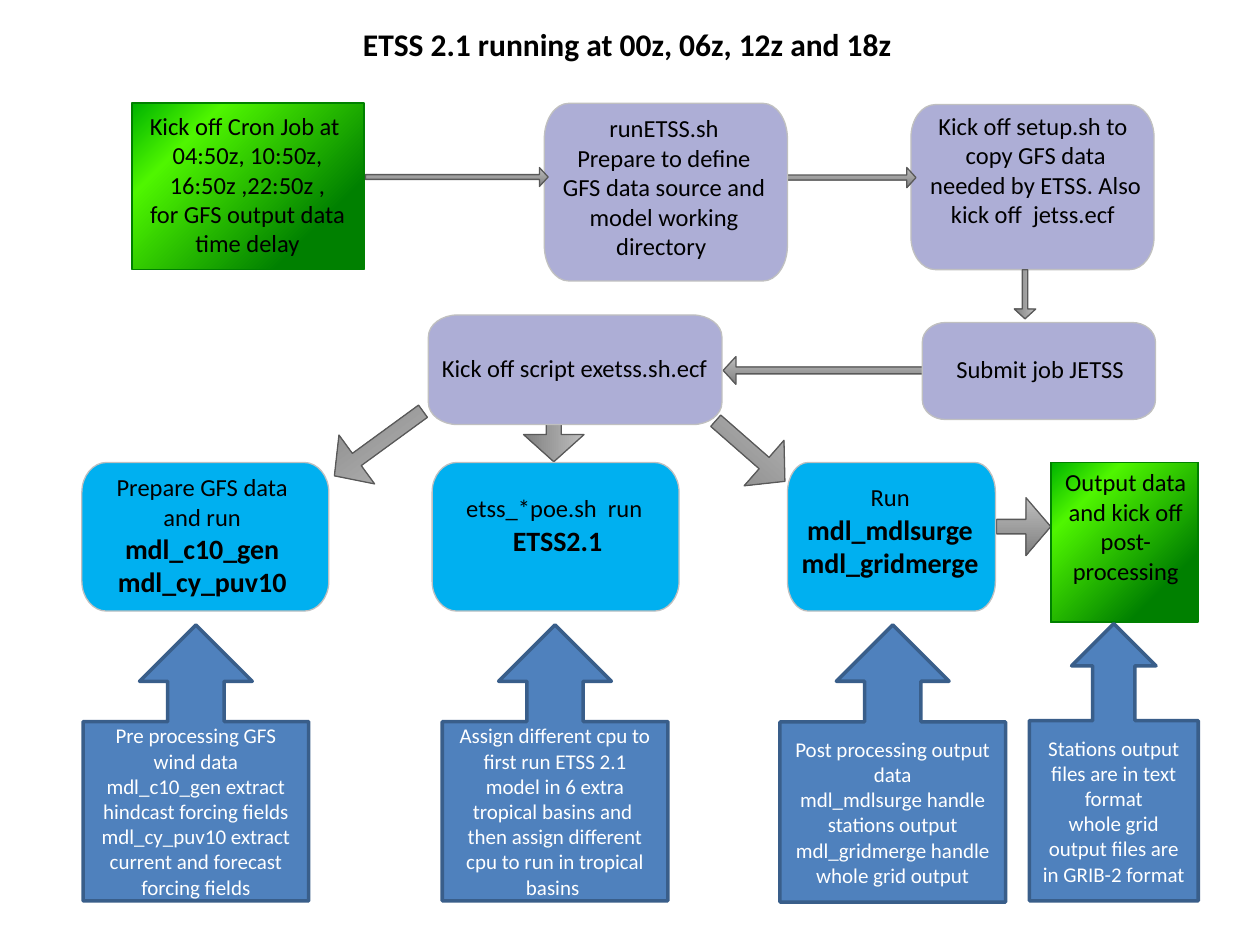
import lxml.etree
import pptx
import pptx.dml.color
import pptx.enum.shapes
import pptx.enum.text
import pptx.oxml.ns
import pptx.util

Inches, Pt = pptx.util.Inches, pptx.util.Pt
SHAPE = pptx.enum.shapes.MSO_SHAPE
ANCHOR = pptx.enum.text.MSO_ANCHOR
qn = pptx.oxml.ns.qn

COLORS = {
    "text": "000000", "note_text": "FFFFFF", "note": "4F81BD", "note_line": "395E8A",
    "script": "ADAED6", "model": "00B0F0", "box_line": "C0C0C0",
    "green": "008000", "arrow_line": "595959",
}
GRAY_STOPS = [(0, "BFBFBF"), (100, "7F7F7F")]
GREEN_STOPS = [(0, "008000"), (22, "008000"), (77, "4FF600"), (100, "00B300")]

# Each paragraph is a list of runs: (text, size, bold)
TITLE = [[("ETSS 2.1 running at 00z, 06z, 12z and 18z", 18, True)]]

# outline kind, box, text box, paragraphs
SETUP_STEP = [
    ("script", (7.23, 0.83, 1.93, 1.31), (7.28, 0.83, 1.88, 1.28),
     [[("Kick off setup.sh to  copy GFS data needed by ETSS. Also kick off  jetss.ecf ", 14, False)]]),
]
STEPS = [
    ("script", (3.4, 2.5, 2.33, 0.87), (3.4, 2.75, 2.32, 0.34),
     [[("Kick off script exetss.sh.ecf", 14, False)]]),
    ("script", (4.32, 0.82, 1.93, 1.41), (4.33, 0.85, 1.88, 1.31),
     [[("runETSS.sh", 14, False)],
      [("Prepare to define GFS data source and model working directory ", 14, False)]]),
    ("green", (1.05, 0.82, 1.84, 1.32), (1.06, 0.83, 1.81, 1.28),
     [[("Kick off Cron Job at ", 14, False)],
      [("04:50z, 10:50z, 16:50z ,22:50z ,", 14, False)],
      [("for GFS output data time delay", 14, False)]]),
    ("script", (7.32, 2.56, 1.85, 0.77), (7.33, 2.76, 1.85, 0.34),
     [[("Submit job JETSS", 14, False)]]),
    ("model", (0.65, 3.67, 1.96, 1.18), (0.67, 3.7, 1.87, 1.11),
     [[("Prepare GFS data and run ", 14, False), ("mdl_c10_gen mdl_cy_puv10", 16, True)]]),
    ("model", (3.43, 3.67, 1.96, 1.18), (3.4, 3.84, 2.05, 0.64),
     [[("etss_*poe.sh  run", 14, False), (" ", 16, True)], [("ETSS2.1", 16, True)]]),
    ("model", (6.25, 3.67, 1.65, 1.18), (6.2, 3.75, 1.73, 0.91),
     [[("Run", 14, False), (" ", 16, False), ("mdl_mdlsurge", 16, True)],
      [("mdl_gridmerge", 16, True)]]),
    ("green", (8.34, 3.67, 1.17, 1.27), (8.35, 3.66, 1.17, 1.28),
     [[("Output data and kick off post-processing", 14, False)]]),
]

# box before rotation, rotation, flipped
BACK_ARROWS = [
    ((4.16, 3.19, 0.47, 0.48), 90, False),
    ((7.91, 3.95, 0.43, 0.46), 0, False),
    ((5.74, 2.83, 1.6, 0.22), 0, True),
]
SETUP_ARROWS = [
    ((5.74, 1.33, 1.53, 0.16), 0, False),
    ((7.94, 2.25, 0.39, 0.17), 90, False),
]
FRONT_ARROWS = [
    ((2.9, 1.33, 1.45, 0.15), 0, False),
    ((5.59, 3.34, 0.73, 0.48), 41.2, False),
    ((2.57, 3.28, 0.87, 0.48), 143.9, False),
]

NOTES = [
    ((0.66, 4.96, 1.79, 2.19),
     ["Pre processing GFS wind data", "mdl_c10_gen extract hindcast forcing fields",
      "mdl_cy_puv10 extract current and forecast forcing fields"]),
    ((3.51, 4.96, 1.79, 2.19),
     ["Assign different cpu to first run ETSS 2.1 model in 6 extra tropical basins and  "
      "then assign different cpu to run in tropical basins "]),
    ((6.19, 4.96, 1.79, 2.2),
     ["Post processing output data", "mdl_mdlsurge handle stations output",
      "mdl_gridmerge handle whole grid output"]),
    ((8.17, 4.95, 1.34, 2.2),
     ["Stations output files are in text format",
      "whole grid output files are in GRIB-2 format"]),
]


def rgb(name):
    """Return the named colour."""
    return pptx.dml.color.RGBColor.from_string(COLORS[name])


def style(sp, line, width, fill=None):
    """Set outline and optional solid fill, without shadow."""
    sp.shadow.inherit = False
    sp.line.color.rgb = rgb(line)
    sp.line.width = Pt(width)
    if fill:
        sp.fill.solid()
        sp.fill.fore_color.rgb = rgb(fill)


def set_gradient(sp, stops, clockwise):
    """Fill a shape with a linear gradient of any number of stops."""
    sp.fill.gradient()
    sp.fill.gradient_angle = 360 - clockwise
    gs_list = sp._element.spPr.find(qn("a:gradFill")).find(qn("a:gsLst"))
    for gs in list(gs_list):
        gs_list.remove(gs)
    for pos, value in stops:
        gs = lxml.etree.SubElement(gs_list, qn("a:gs"), pos=str(pos * 1000))
        lxml.etree.SubElement(gs, qn("a:srgbClr"), val=value)


def write(tf, paragraphs, color="text", anchor=ANCHOR.TOP):
    """Write centred paragraphs run by run."""
    tf.word_wrap = True
    tf.auto_size = pptx.enum.text.MSO_AUTO_SIZE.NONE
    tf.vertical_anchor = anchor
    for i, runs in enumerate(paragraphs):
        p = tf.add_paragraph() if i else tf.paragraphs[0]
        p.alignment = pptx.enum.text.PP_ALIGN.CENTER
        for text, size, bold in runs:
            r = p.add_run()
            r.text = text
            r.font.name = "Calibri"
            r.font.size = Pt(size)
            r.font.bold = bold
            r.font.color.rgb = rgb(color)


def add_title(slide, box):
    """Move the title placeholder to its box and fill it."""
    sp = slide.shapes.title
    sp.left, sp.top, sp.width, sp.height = map(Inches, box)
    write(sp.text_frame, TITLE)


def add_rounded(slide, box):
    """Outline a box whose elliptical corners scale with its two sides."""
    x, y, w, h = map(Inches, box)
    rx, ry = round(0.1 * w), round(0.2 * h)
    points = [(w - rx, h), (w, h - ry), (w, ry), (w - rx, 0),
              (rx, 0), (0, ry), (0, h - ry), (rx, h), (w - rx, h)]
    builder = slide.shapes.build_freeform(*points[0])
    builder.add_line_segments(points[1:], close=True)
    sp = builder.convert_to_shape(x, y)
    corners = [(w, h), (w, 0), (0, 0), (0, h)]
    lines = list(sp._element.iter(qn("a:lnTo")))
    for i, corner in enumerate(corners):
        ends = points[2 * i:2 * i + 2]
        curve = lines[2 * i]
        curve.tag = qn("a:cubicBezTo")
        for n, end in enumerate(ends):
            cx, cy = (round(e + 0.55 * (c - e)) for e, c in zip(end, corner))
            pt = lxml.etree.Element(qn("a:pt"), x=str(cx), y=str(cy))
            curve.insert(n, pt)
    return sp


def add_step(slide, kind, box, text_box, paragraphs):
    """Add one workflow step: its outline and its text."""
    if kind == "green":
        sp = slide.shapes.add_shape(SHAPE.RECTANGLE, *map(Inches, box))
        style(sp, "green", 1)
        set_gradient(sp, GREEN_STOPS, 225)
    else:
        style(add_rounded(slide, box), "box_line", 0.75, kind)
    tb = slide.shapes.add_textbox(*map(Inches, text_box))
    write(tb.text_frame, paragraphs)


def add_arrow(slide, box, rotation, flipped):
    """Add a gray block arrow."""
    sp = slide.shapes.add_shape(SHAPE.RIGHT_ARROW, *map(Inches, box))
    sp.adjustments[0], sp.adjustments[1] = 0.25, 0.458
    sp.rotation = rotation
    if flipped:
        sp._element.spPr.find(qn("a:xfrm")).set("flipH", "1")
    style(sp, "arrow_line", 0.75)
    set_gradient(sp, GRAY_STOPS, 90)


def add_note(slide, box, lines):
    """Add a callout that points up at a step."""
    sp = slide.shapes.add_shape(SHAPE.UP_ARROW_CALLOUT, *map(Inches, box))
    for i, value in enumerate((0.25, 0.25, 0.25, 0.65)):
        sp.adjustments[i] = value
    style(sp, "note_line", 2, "note")
    write(sp.text_frame, [[(line, 12, False)] for line in lines], "note_text", ANCHOR.MIDDLE)


def build():
    """Build the workflow slide from back to front."""
    prs = pptx.Presentation()
    prs.slide_width, prs.slide_height = Inches(10), Inches(7.5)
    slide = prs.slides.add_slide(prs.slide_layouts[5])
    add_title(slide, (2.48, 0.15, 5, 0.4))
    for add, items in ((add_arrow, BACK_ARROWS), (add_step, SETUP_STEP),
                       (add_arrow, SETUP_ARROWS), (add_step, STEPS),
                       (add_arrow, FRONT_ARROWS), (add_note, NOTES)):
        for item in items:
            add(slide, *item)
    prs.save("out.pptx")


build()
